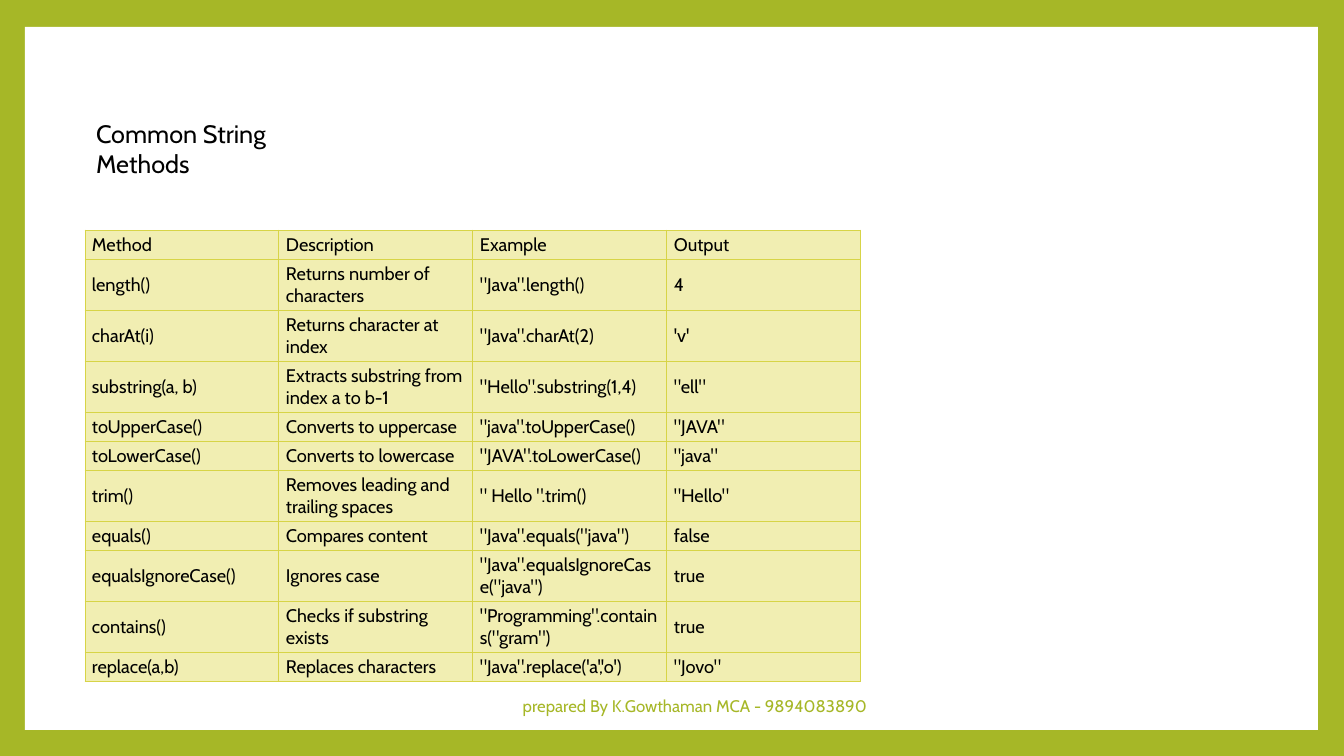
from lxml import etree
from pptx import Presentation
from pptx.dml.color import RGBColor
from pptx.enum.shapes import MSO_SHAPE
from pptx.enum.text import MSO_ANCHOR, MSO_AUTO_SIZE, PP_ALIGN
from pptx.oxml.ns import qn
from pptx.util import Emu, Pt

RECT = MSO_SHAPE.RECTANGLE
TOP, MIDDLE = MSO_ANCHOR.TOP, MSO_ANCHOR.MIDDLE
LEFT, CENTER = PP_ALIGN.LEFT, PP_ALIGN.CENTER
NO_FIT = MSO_AUTO_SIZE.NONE

THEME = {
    "font": "Cabin",
    "green": "A6B727",
    "panel": "FFFFFF",
    "cell": "F1EEB2",
    "border": "D7D447",
    "text": "000000",
    "title_size": 18,
    "table_size": 13,
    "footer_size": 12,
}

ROWS = [
    ("Method", "Description", "Example", "Output"),
    ("length()", "Returns number of characters", '"Java".length()', "4"),
    ("charAt(i)", "Returns character at index", '"Java".charAt(2)', "'v'"),
    ("substring(a, b)", "Extracts substring from index a to b-1",
     '"Hello".substring(1,4)', '"ell"'),
    ("toUpperCase()", "Converts to uppercase", '"java".toUpperCase()', '"JAVA"'),
    ("toLowerCase()", "Converts to lowercase", '"JAVA".toLowerCase()', '"java"'),
    ("trim()", "Removes leading and trailing spaces", '" Hello ".trim()', '"Hello"'),
    ("equals()", "Compares content", '"Java".equals("java")', "false"),
    ("equalsIgnoreCase()", "Ignores case", '"Java".equalsIgnoreCase("java")', "true"),
    ("contains()", "Checks if substring exists", '"Programming".contains("gram")', "true"),
    ("replace(a,b)", "Replaces characters", "\"Java\".replace('a','o')", '"Jovo"'),
]
COL_W, ROW_H, TALL_ROW_H, LINE_CHARS = 194, 29, 51, 24


def px(n):
    return Emu(round(n * 914400 / 100.8))


def write(tf, text, size, color, align):
    p = tf.paragraphs[0]
    p.alignment = align
    r = p.add_run()
    r.text = text
    r.font.name = THEME["font"]
    r.font.size = Pt(THEME[size])
    r.font.color.rgb = RGBColor.from_string(THEME[color])


prs = Presentation()
prs.slide_width, prs.slide_height = px(1344), px(756)
s = prs.slides.add_slide(prs.slide_layouts[5])
s.background.fill.solid()
s.background.fill.fore_color.rgb = RGBColor.from_string(THEME["green"])

panel = s.shapes.add_shape(RECT, px(25), px(27), px(1293), px(703))
panel.shadow.inherit = False
panel.fill.solid()
panel.fill.fore_color.rgb = RGBColor.from_string(THEME["panel"])
panel.line.fill.background()

title = s.shapes.title
title.left, title.top, title.width, title.height = px(86), px(113), px(285), px(40)
panel._element.getparent().insert(2, panel._element)
tf = title.text_frame
tf.word_wrap = True
tf.auto_size = NO_FIT
tf.vertical_anchor = TOP
write(tf, "Common String Methods", "title_size", "text", LEFT)

heights = [TALL_ROW_H if max(map(len, row)) > LINE_CHARS else ROW_H for row in ROWS]
frame = s.shapes.add_table(len(ROWS), len(ROWS[0]), px(85), px(230),
                           px(COL_W * len(ROWS[0])), px(sum(heights)))
table = frame.table
table.first_row = False
table.horz_banding = False
for col in table.columns:
    col.width = px(COL_W)
for i, row in enumerate(ROWS):
    table.rows[i].height = px(heights[i])
    for j, text in enumerate(row):
        cell = table.cell(i, j)
        cell.vertical_anchor = MIDDLE
        cell.margin_left = cell.margin_right = px(7)
        cell.margin_top, cell.margin_bottom = px(4), px(3)
        write(cell.text_frame, text, "table_size", "text", LEFT)
        tc_pr = cell._tc.get_or_add_tcPr()
        for side in ("a:lnL", "a:lnR", "a:lnT", "a:lnB"):
            ln = etree.SubElement(tc_pr, qn(side), w=str(Pt(0.79)))
            fill = etree.SubElement(ln, qn("a:solidFill"))
            etree.SubElement(fill, qn("a:srgbClr"), val=THEME["border"])
        cell.fill.solid()
        cell.fill.fore_color.rgb = RGBColor.from_string(THEME["cell"])

footer = s.shapes.add_textbox(px(435), px(686), px(520), px(40))
tf = footer.text_frame
tf.word_wrap = True
tf.vertical_anchor = MIDDLE
write(tf, "prepared By K.Gowthaman MCA - 9894083890", "footer_size", "green", CENTER)

prs.save("out.pptx")
